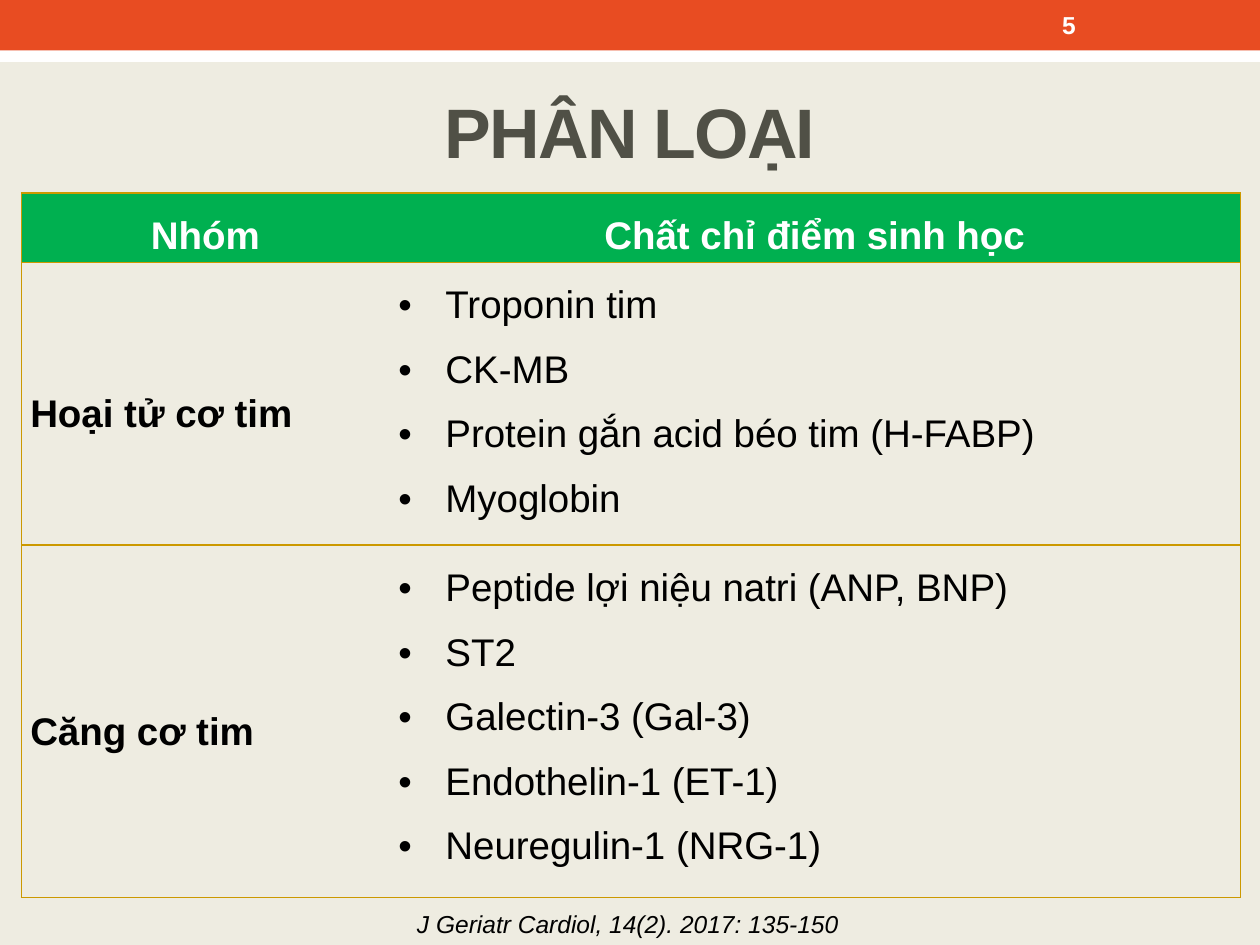
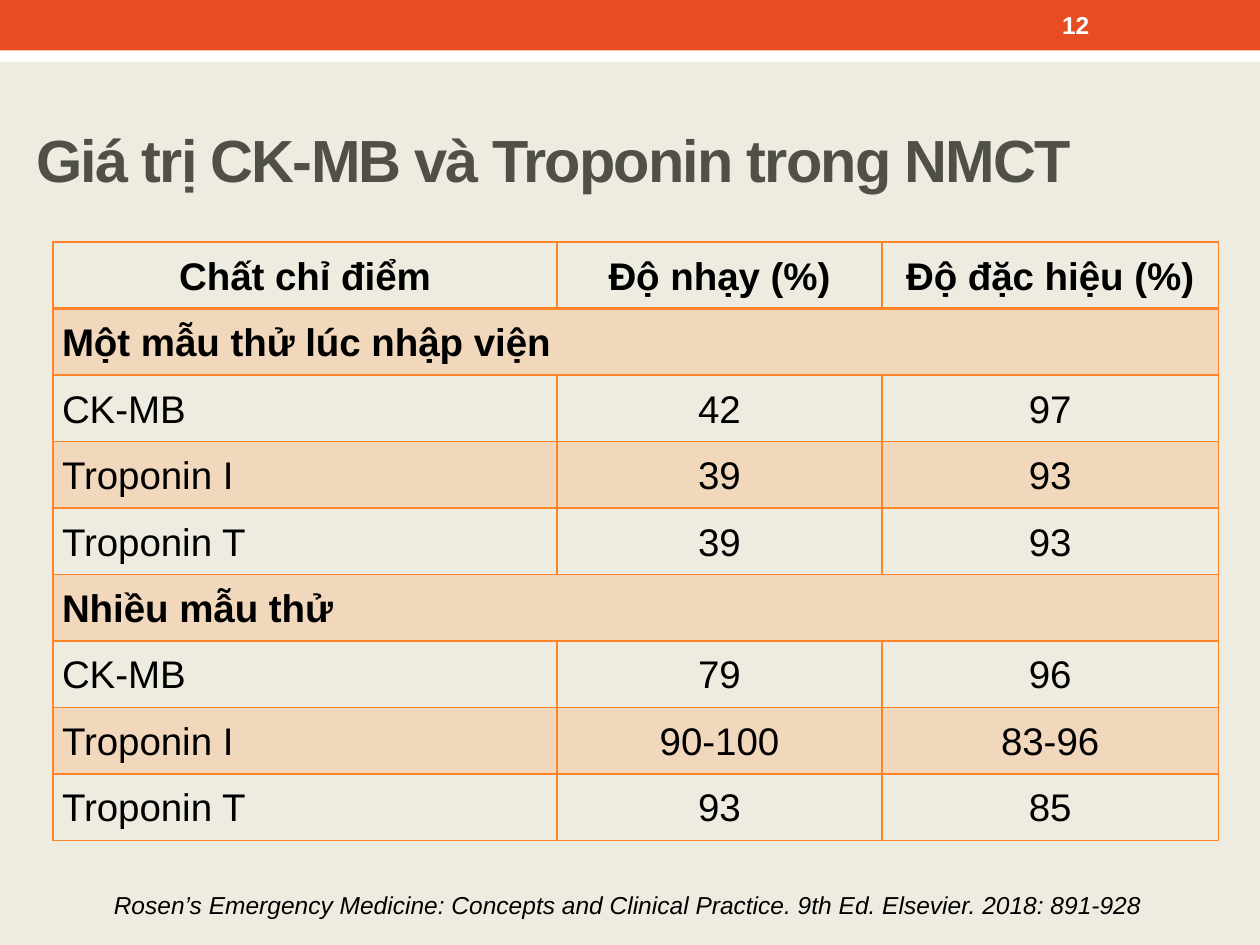
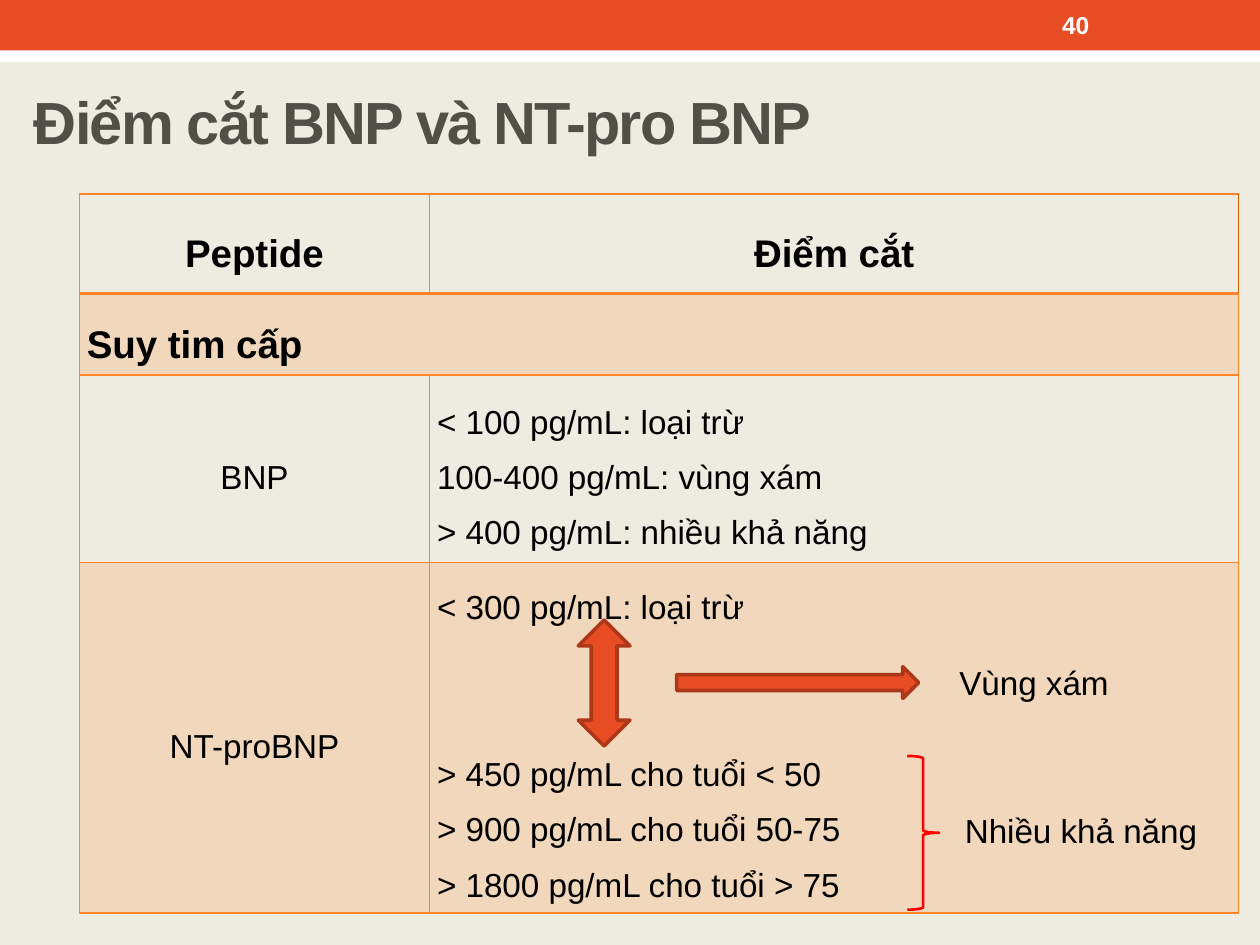
from dataclasses import dataclass

from lxml.etree import SubElement
from pptx import Presentation
from pptx.dml.color import RGBColor
from pptx.enum.shapes import MSO_SHAPE
from pptx.enum.text import MSO_ANCHOR, MSO_AUTO_SIZE, PP_ALIGN
from pptx.oxml import parse_xml
from pptx.oxml.ns import nsdecls, qn
from pptx.util import Cm, Pt

COLORS = {
    "background": "EEECE1",
    "band": "E84C22",
    "band_edge": "AC3819",
    "white": "FFFFFF",
    "title": "505046",
    "text": "000000",
    "header": "00B050",
    "gold": "CC9900",
    "orange": "FF8427",
    "dark_orange": "DC5F00",
    "brace": "FF0000",
}
FONT = "Arial"
PAGE_WIDTH, PAGE_HEIGHT = 25.4, 19.05
NO_GRID_STYLE = "{2D5ABB26-0587-4C30-8999-92F81FD0307C}"
CENTER, LEFT, JUSTIFY = PP_ALIGN.CENTER, PP_ALIGN.LEFT, PP_ALIGN.JUSTIFY


def rgb(name):
    return RGBColor.from_string(COLORS[name])


@dataclass
class Entry:
    """Content and look of one table cell."""
    lines: tuple
    align: PP_ALIGN = CENTER
    bold: bool = False
    size: float = 22
    color: str = "text"
    anchor: MSO_ANCHOR = MSO_ANCHOR.MIDDLE
    bullet: bool = False


class SlideBuilder:
    def __init__(self):
        self.deck = Presentation()
        self.deck.slide_width, self.deck.slide_height = Cm(PAGE_WIDTH), Cm(PAGE_HEIGHT)
        fill = self.deck.slide_master.background.fill
        fill.solid()
        fill.fore_color.rgb = rgb("background")
        self.page = None

    def new_page(self, number, title, left, top, width, size=34, align=LEFT):
        self.page = self.deck.slides.add_slide(self.deck.slide_layouts[5])
        self.shape(MSO_SHAPE.RECTANGLE, 0, 0.61, PAGE_WIDTH, 0.64, fill="white")
        self.shape(MSO_SHAPE.RECTANGLE, 0, 0, PAGE_WIDTH, 1.02, fill="band")
        box = self.page.shapes.title
        box.left, box.top, box.width, box.height = Cm(left), Cm(top), Cm(width), Cm(2.74)
        frame = box.text_frame
        frame.auto_size = MSO_AUTO_SIZE.NONE
        frame.vertical_anchor = MSO_ANCHOR.MIDDLE
        span = self.add_span(frame.paragraphs[0], title, size, "title", align, bold=True)
        span.font._element.set("spc", "-100")
        self.text(str(number), 21.16, 0.05, 2.97, 0.91, size=14, color="white",
                  bold=True, anchor=MSO_ANCHOR.MIDDLE)

    def add_span(self, para, text, size, color="text", align=LEFT, bold=False,
                 italic=False, spacing=1.0):
        para.alignment = align
        para.line_spacing = spacing
        span = para.add_run()
        span.text = text
        font = span.font
        font.name, font.size, font.bold, font.italic = FONT, Pt(size), bold, italic
        font.color.rgb = rgb(color)
        return span

    def text(self, text, left, top, width, height, size=19, color="text",
             anchor=MSO_ANCHOR.TOP, **style):
        box = self.page.shapes.add_textbox(Cm(left), Cm(top), Cm(width), Cm(height))
        frame = box.text_frame
        frame.word_wrap = True
        frame.vertical_anchor = anchor
        self.add_span(frame.paragraphs[0], text, size, color, **style)

    def citation(self, text, top):
        self.text(text, 1.19, top, 22.94, 0.85, size=14, align=CENTER,
                  italic=True, spacing=1.07)

    def shape(self, kind, left, top, width, height, fill=None, line=None, weight=1):
        shape = self.page.shapes.add_shape(kind, Cm(left), Cm(top), Cm(width), Cm(height))
        shape.shadow.inherit = False
        if fill:
            shape.fill.solid()
            shape.fill.fore_color.rgb = rgb(fill)
        else:
            shape.fill.background()
        if line:
            shape.line.color.rgb = rgb(line)
            shape.line.width = Pt(weight)
        else:
            shape.line.fill.background()

    def table(self, left, top, widths, heights, rows, edges, fills,
              spacing=1.5, inset=0.18):
        """Draw entries; a row with one entry spans all columns.

        edges(row, column) gives {side: (color, points)};
        fills maps a row to (color, opacity in percent).
        """
        frame = self.page.shapes.add_table(
            len(heights), len(widths), Cm(left), Cm(top), Cm(sum(widths)), Cm(sum(heights)))
        table = frame.table
        table.first_row = table.horz_banding = False
        table._tbl.tblPr.find(qn("a:tableStyleId")).text = NO_GRID_STYLE
        for column, width in zip(table.columns, widths):
            column.width = Cm(width)
        for r, (height, entries) in enumerate(zip(heights, rows)):
            table.rows[r].height = Cm(height)
            for c in range(len(widths)):
                cell = table.cell(r, c)
                self.fill_cell(cell, *fills.get(r, (None, 0)))
                self.border_cell(cell, edges(r, c))
            if len(entries) == 1:
                table.cell(r, 0).merge(table.cell(r, len(widths) - 1))
            for c, entry in enumerate(entries):
                self.set_entry(table.cell(r, c), entry, spacing, inset)
        return table

    def fill_cell(self, cell, color, opacity):
        if color is None:
            cell.fill.background()
            return
        cell.fill.solid()
        cell.fill.fore_color.rgb = rgb(color)
        if opacity < 100:
            tint = cell._tc.tcPr.find(".//" + qn("a:srgbClr"))
            SubElement(tint, qn("a:alpha")).set("val", str(opacity * 1000))

    def border_cell(self, cell, sides):
        properties = cell._tc.get_or_add_tcPr()
        ordered = [side for side in "LRTB" if side in sides]
        for position, side in enumerate(ordered):
            color, points = sides[side]
            properties.insert(position, parse_xml(
                f'<a:ln{side} {nsdecls("a")} w="{int(Pt(points))}"><a:solidFill>'
                f'<a:srgbClr val="{COLORS[color]}"/></a:solidFill></a:ln{side}>'))

    def set_entry(self, cell, entry, spacing, inset):
        cell.margin_left = cell.margin_right = Cm(inset)
        cell.margin_top = cell.margin_bottom = 0
        cell.vertical_anchor = entry.anchor
        frame = cell.text_frame
        for i, line in enumerate(entry.lines):
            para = frame.add_paragraph() if i else frame.paragraphs[0]
            if entry.bullet:
                self.add_bullet(para)
            self.add_span(para, line, entry.size, entry.color, entry.align,
                          entry.bold, spacing=spacing)

    def add_bullet(self, para):
        properties = para._p.get_or_add_pPr()
        properties.set("marL", str(int(Cm(0.95))))
        properties.set("indent", str(-int(Cm(0.95))))
        SubElement(properties, qn("a:buFont")).set("typeface", FONT)
        SubElement(properties, qn("a:buChar")).set("char", "•")


def frame_edges(row, column):
    """Gold outline with lines between rows but not between columns."""
    line = ("gold", 0.75)
    return {"L" if column == 0 else "R": line, "T": line, "B": line}


def grid_edges(row, column):
    """Orange grid with a heavier line under the header row."""
    edges = {side: ("orange", 1) for side in "LRTB"}
    if row < 2:
        edges["B" if row == 0 else "T"] = ("orange", 2)
    return edges


def cutoff_edges(row, column):
    edges = grid_edges(row, column)
    if row < 2 and column == 1:
        edges["R"] = ("dark_orange", 1)
    return edges


def add_classification(builder):
    builder.new_page(5, "PHÂN LOẠI", 1.27, 1.27, 22.86, size=40, align=CENTER)
    groups = {
        "Hoại tử cơ tim": ("Troponin tim", "CK-MB", "Protein gắn acid béo tim (H-FABP)",
                           "Myoglobin"),
        "Căng cơ tim": ("Peptide lợi niệu natri (ANP, BNP)", "ST2", "Galectin-3 (Gal-3)",
                        "Endothelin-1 (ET-1)", "Neuregulin-1 (NRG-1)"),
    }
    rows = [[Entry((name,), bold=True, color="white", anchor=MSO_ANCHOR.TOP)
             for name in ("Nhóm", "Chất chỉ điểm sinh học")]]
    for group, markers in groups.items():
        rows.append([Entry((group,), JUSTIFY, bold=True),
                     Entry(markers, JUSTIFY, anchor=MSO_ANCHOR.TOP, bullet=True)])
    builder.table(0.43, 3.89, (7.42, 17.15), (1.31, 5.7, 7.11), rows,
                  frame_edges, {0: ("header", 100)})
    builder.citation("J Geriatr Cardiol, 14(2). 2017: 135-150", 18.16)


def add_marker_values(builder):
    builder.new_page(12, "Giá trị CK-MB và Troponin trong NMCT", 0.48, 1.83, 22.76)
    samples = {
        "Một mẫu thử lúc nhập viện": (
            ("CK-MB", "42", "97"), ("Troponin I", "39", "93"), ("Troponin T", "39", "93")),
        "Nhiều mẫu thử": (
            ("CK-MB", "79", "96"), ("Troponin I", "90-100", "83-96"),
            ("Troponin T", "93", "85")),
    }
    rows = [[Entry((name,), bold=True)
             for name in ("Chất chỉ điểm", "Độ nhạy (%)", "Độ đặc hiệu (%)")]]
    for sample, markers in samples.items():
        rows.append([Entry((sample,), JUSTIFY, bold=True)])
        for marker, *values in markers:
            rows.append([Entry((marker,), JUSTIFY)] + [Entry((value,)) for value in values])
    tints = {row: ("orange", 20) for row in range(1, len(rows), 2)}
    builder.table(1.07, 4.88, (10.16, 6.55, 6.78), [1.34] * len(rows), rows,
                  grid_edges, tints, spacing=1.07)
    builder.citation("Rosen’s Emergency Medicine: Concepts and Clinical Practice. "
                     "9th Ed. Elsevier. 2018: 891-928", 17.78)


def add_cutoffs(builder):
    builder.new_page(40, "Điểm cắt BNP và NT-pro BNP", 0.43, 1.07, 23.7)
    cutoffs = {
        "BNP": ("< 100 pg/mL: loại trừ", "100-400 pg/mL: vùng xám",
                "> 400 pg/mL: nhiều khả năng"),
        "NT-proBNP": ("< 300 pg/mL: loại trừ", "> 450 pg/mL cho tuổi < 50",
                      "> 900 pg/mL cho tuổi 50-75", "> 1800 pg/mL cho tuổi > 75"),
    }
    rows = [[Entry((name,), bold=True) for name in ("Peptide", "Điểm cắt")],
            [Entry(("Suy tim cấp",), LEFT, bold=True)]]
    for peptide, limits in cutoffs.items():
        rows.append([Entry((peptide,), size=19), Entry(limits, JUSTIFY, size=19)])
    table = builder.table(1.6, 3.91, (7.06, 16.31), (2, 1.65, 3.78, 6.7), rows,
                          cutoff_edges, {1: ("orange", 20), 3: ("orange", 20)}, inset=0.15)
    table.cell(3, 1).text_frame.paragraphs[1].space_before = Pt(63.5)

    builder.shape(MSO_SHAPE.RIGHT_BRACE, 18.29, 15.24, 0.64, 3.1, line="brace", weight=1.5)
    builder.text("Nhiều khả năng", 19.2, 16.2, 5.56, 1.07)
    arrow = {"fill": "band", "line": "band_edge", "weight": 2.08}
    builder.shape(MSO_SHAPE.UP_DOWN_ARROW, 11.66, 12.5, 1.04, 2.54, **arrow)
    builder.shape(MSO_SHAPE.RIGHT_ARROW, 13.64, 13.44, 4.88, 0.64, **arrow)
    builder.text("Vùng xám", 18.62, 13.23, 4.45, 1.07, align=CENTER)


def main():
    builder = SlideBuilder()
    add_classification(builder)
    add_marker_values(builder)
    add_cutoffs(builder)
    builder.deck.save("out.pptx")


if __name__ == "__main__":
    main()
